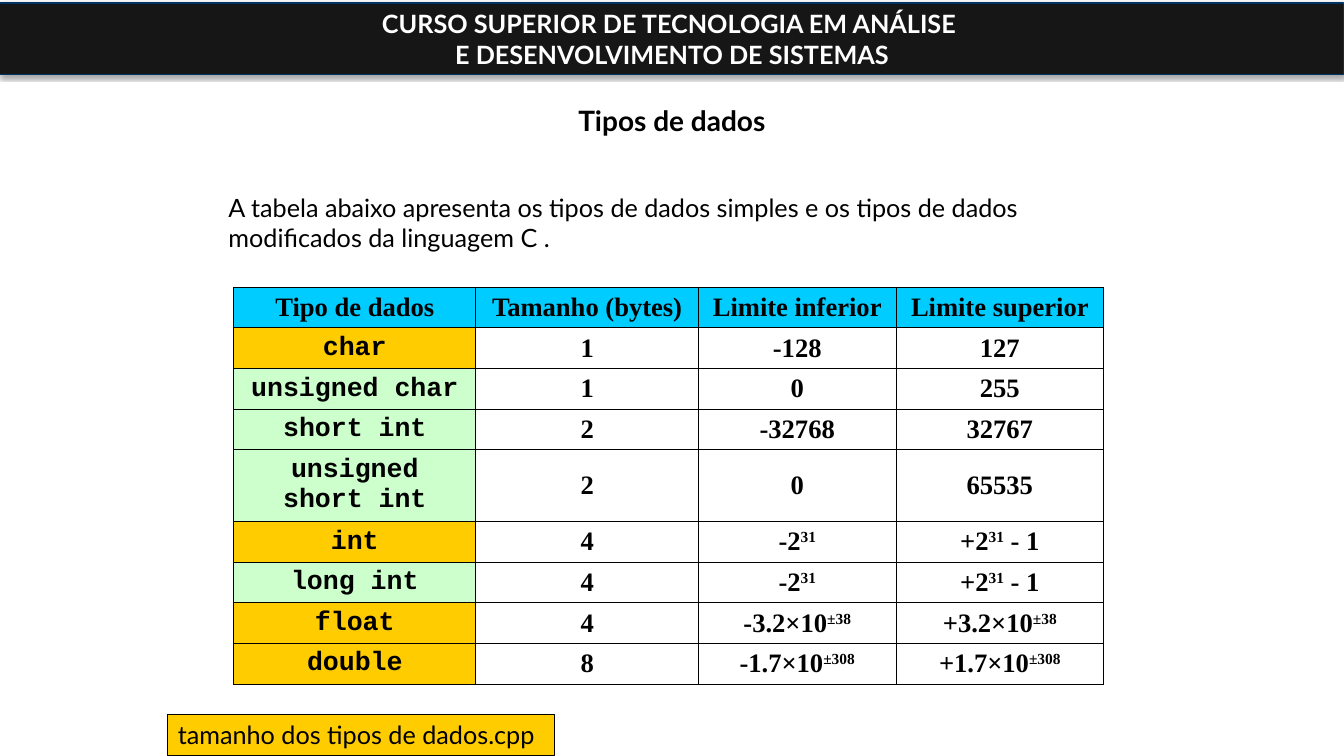
from lxml import etree
from pptx import Presentation
from pptx import util as u
from pptx.dml.color import RGBColor
from pptx.enum import shapes, text
from pptx.oxml import parse_xml
from pptx.oxml.ns import nsdecls, qn

BLACK = RGBColor(0x00, 0x00, 0x00)
WHITE = RGBColor(0xFF, 0xFF, 0xFF)
CHARCOAL = RGBColor(0x16, 0x16, 0x16)
NAVY = RGBColor(0x00, 0x32, 0x64)
CYAN = RGBColor(0x00, 0xCC, 0xFF)
AMBER = RGBColor(0xFF, 0xCC, 0x00)
MINT = RGBColor(0xCC, 0xFF, 0xCC)

COLUMNS, ROWS = 80, 45
COLUMN_WIDTHS = (14.4, 13.26, 11.76, 12.36)
ROW_HEIGHT, TALL_ROW_HEIGHT = 2.42, 4.27
TALL_ROW = 4

HEADINGS = ("Tipo de dados", "Tamanho (bytes)", "Limite inferior", "Limite superior")
DATA_TYPES = (
    (AMBER, "char", "1", "-128", "127"),
    (MINT, "unsigned char", "1", "0", "255"),
    (MINT, "short int", "2", "-32768", "32767"),
    (MINT, "unsigned short int", "2", "0", "65535"),
    (AMBER, "int", "4", "-2^31", "+2^31^ - 1"),
    (MINT, "long int", "4", "-2^31", "+2^31^ - 1"),
    (AMBER, "float", "4", "-3.2×10^±38", "+3.2×10^±38"),
    (AMBER, "double", "8", "-1.7×10^±308", "+1.7×10^±308"),
)


class SlideBuilder:
    body_font = "Lato"
    table_font = "Times New Roman"
    code_font = "Courier New"
    line_width = u.Pt(0.75)

    def __init__(self, presentation):
        self.width = presentation.slide_width
        self.height = presentation.slide_height
        self.slide = presentation.slides.add_slide(presentation.slide_layouts[1])

    def across(self, columns):
        return round(self.width * columns / COLUMNS)

    def down(self, rows):
        return round(self.height * rows / ROWS)

    def box(self, left, top, width, height):
        return self.across(left), self.down(top), self.across(width), self.down(height)

    def add_runs(self, paragraph, content, size, font=None, color=BLACK, bold=False, align=text.PP_ALIGN.CENTER):
        paragraph.alignment = align
        paragraph.space_before = u.Pt(0)
        for index, part in enumerate(content.split("^")):
            run = paragraph.add_run()
            run.text = part
            run.font.name = font or self.body_font
            run.font.size = u.Pt(size)
            run.font.bold = bold
            run.font.color.rgb = color
            if index % 2:
                run.font._element.set("baseline", "30000")

    def rectangle(self, box, fill, line, lines, anchor, **style):
        shape = self.slide.shapes.add_shape(shapes.MSO_SHAPE.RECTANGLE, *self.box(*box))
        shape.shadow.inherit = False
        shape.fill.solid()
        shape.fill.fore_color.rgb = fill
        shape.line.color.rgb = line
        shape.line.width = self.line_width
        frame = shape.text_frame
        frame.word_wrap = True
        frame.vertical_anchor = anchor
        for index, content in enumerate(lines):
            paragraph = frame.add_paragraph() if index else frame.paragraphs[0]
            self.add_runs(paragraph, content, 18, **style)
        return shape

    def banner(self, box, lines):
        shape = self.rectangle(box, CHARCOAL, NAVY, lines, text.MSO_ANCHOR.MIDDLE, color=WHITE, bold=True)
        effects = shape._element.spPr.find(qn("a:effectLst"))
        effects.append(parse_xml(
            f'<a:outerShdw {nsdecls("a")} blurRad="{u.Pt(3.1)}" dist="{u.Pt(1.8)}" dir="5400000" rotWithShape="0">'
            f'<a:srgbClr val="{BLACK}"><a:alpha val="35000"/></a:srgbClr></a:outerShdw>'))
        self.slide.shapes._spTree.insert(2, shape._element)

    def placeholder(self, shape, box, anchor):
        shape.left, shape.top, shape.width, shape.height = self.box(*box)
        frame = shape.text_frame
        frame.word_wrap = True
        frame.auto_size = text.MSO_AUTO_SIZE.NONE
        frame.vertical_anchor = anchor
        return frame.paragraphs[0]

    def title(self, box, content):
        paragraph = self.placeholder(self.slide.shapes.title, box, text.MSO_ANCHOR.MIDDLE)
        self.add_runs(paragraph, content, 20, bold=True)

    def body(self, box, content):
        paragraph = self.placeholder(self.slide.placeholders[1], box, text.MSO_ANCHOR.TOP)
        properties = paragraph._p.get_or_add_pPr()
        properties.set("marL", "0")
        properties.set("indent", "0")
        etree.SubElement(properties, qn("a:buNone"))
        self.add_runs(paragraph, content, 18, align=text.PP_ALIGN.LEFT)

    def cell(self, cell, content, font, fill):
        properties = cell._tc.get_or_add_tcPr()
        for side in ("lnL", "lnR", "lnT", "lnB"):
            properties.append(parse_xml(
                f'<a:{side} {nsdecls("a")} w="{self.line_width}"><a:solidFill>'
                f'<a:srgbClr val="{BLACK}"/></a:solidFill></a:{side}>'))
        if fill is None:
            cell.fill.background()
        else:
            cell.fill.solid()
            cell.fill.fore_color.rgb = fill
        cell.vertical_anchor = text.MSO_ANCHOR.MIDDLE
        self.add_runs(cell.text_frame.paragraphs[0], content, 19, font=font, bold=True)

    def type_table(self, left, top):
        heights = [ROW_HEIGHT] * (len(DATA_TYPES) + 1)
        heights[TALL_ROW] = TALL_ROW_HEIGHT
        box = self.box(left, top, sum(COLUMN_WIDTHS), sum(heights))
        table = self.slide.shapes.add_table(len(heights), len(COLUMN_WIDTHS), *box).table
        table.first_row = table.horz_banding = False
        for column, width in zip(table.columns, COLUMN_WIDTHS):
            column.width = self.across(width)
        for row, height in zip(table.rows, heights):
            row.height = self.down(height)
        for index, heading in enumerate(HEADINGS):
            self.cell(table.cell(0, index), heading, self.table_font, CYAN)
        for row, (color, name, *values) in enumerate(DATA_TYPES, 1):
            self.cell(table.cell(row, 0), name, self.code_font, color)
            for index, value in enumerate(values, 1):
                self.cell(table.cell(row, index), value, self.table_font, None)


def main():
    presentation = Presentation()
    presentation.slide_width = u.Inches(13.33)
    presentation.slide_height = u.Inches(7.5)
    builder = SlideBuilder(presentation)
    builder.banner((0, 0.18, 80, 4.26),
                   ("CURSO SUPERIOR DE TECNOLOGIA EM ANÁLISE ", "E DESENVOLVIMENTO DE SISTEMAS"))
    builder.title((13, 2.64, 54, 9), "Tipos de dados")
    builder.body((13, 11.16, 53.4, 30.24),
                 "A tabela abaixo apresenta os tipos de dados simples e os tipos de dados "
                 "modificados da linguagem C .")
    builder.type_table(13.92, 17.1)
    builder.rectangle((10, 42.54, 23, 2.42), AMBER, BLACK, ("tamanho dos tipos de dados.cpp",),
                      text.MSO_ANCHOR.TOP, align=text.PP_ALIGN.LEFT)
    presentation.save("out.pptx")


if __name__ == "__main__":
    main()
